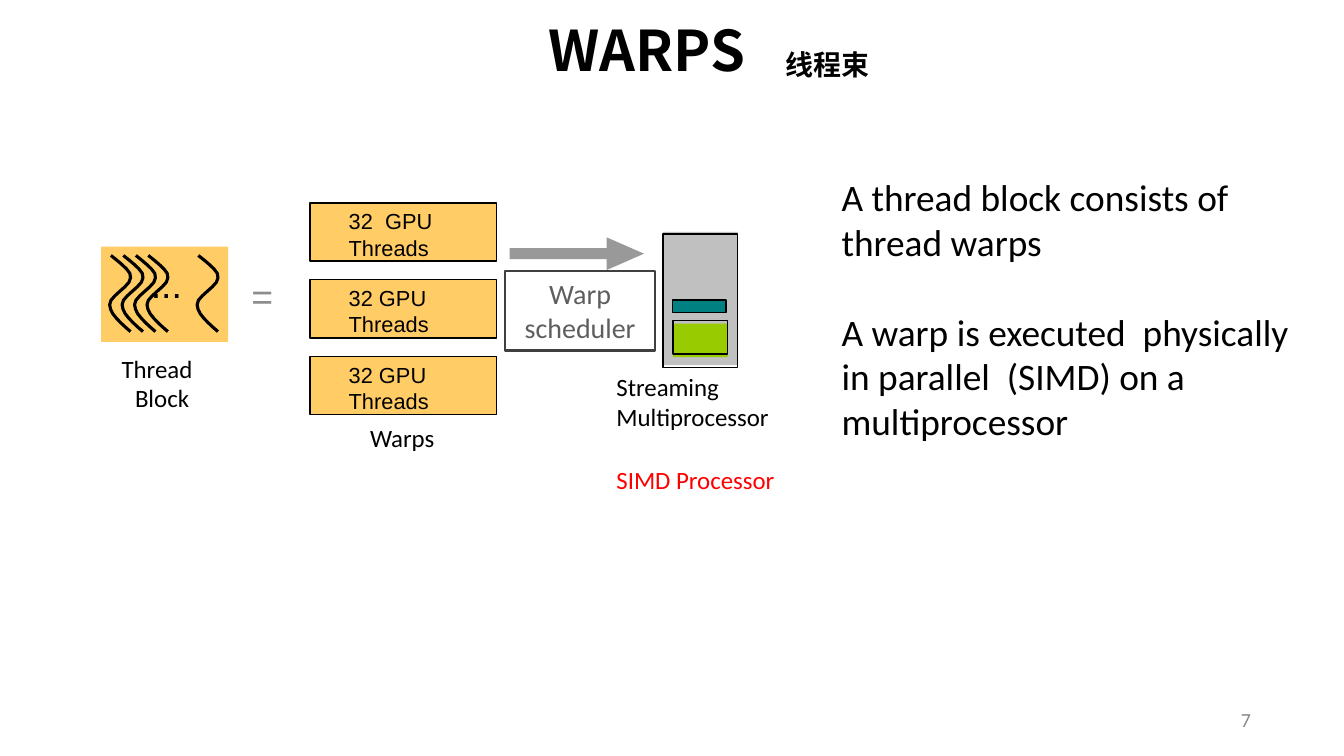
import dataclasses

import lxml.etree
import pptx
import pptx.dml.color
import pptx.enum.shapes
import pptx.enum.text
import pptx.oxml.ns
import pptx.util

Pt = pptx.util.Pt
SHAPE = pptx.enum.shapes.MSO_SHAPE
ALIGN = pptx.enum.text.PP_ALIGN
ANCHOR = pptx.enum.text.MSO_ANCHOR


@dataclasses.dataclass(frozen=True)
class Theme:
    black: str = "000000"
    red: str = "FF0000"
    amber: str = "FFCC66"
    silver: str = "C0C0C0"
    teal: str = "008080"
    lime: str = "99CC00"
    arrow: str = "999999"
    equals: str = "8C8C8C"
    number: str = "898989"
    scheduler_line: str = "404040"
    scheduler_text: str = "5E5E5E"
    sans: str = "Calibri"
    plain: str = "Arial"
    heading: str = "Noto Sans CJK SC"
    title_size: float = 36
    body_size: float = 24
    note_size: float = 18
    label_size: float = 16
    warp_size: float = 14
    number_size: float = 12.8


THEME = Theme()

# One thread: sideways offsets at equal steps down
WAVE = [0.8, 4.4, 7.8, 10.8, 13, 13.4, 12.4, 9.8, 6.6,
        3.4, 0.9, 0, 0.6, 2, 4.3, 7, 10.1, 13.4]
WAVE_STEP = 2.88


def set_values(target, values):
    for name, value in values.items():
        setattr(target, name, value)


def color(code):
    return pptx.dml.color.RGBColor.from_string(code)


def paint(shape, fill=None, line=None, weight=1):
    shape.shadow.inherit = False
    if fill:
        shape.fill.solid()
        shape.fill.fore_color.rgb = color(fill)
    else:
        shape.fill.background()
    if line:
        shape.line.color.rgb = color(line)
        shape.line.width = Pt(weight)
    else:
        shape.line.fill.background()


def write(box, lines, size, font=THEME.sans, ink=THEME.black, bold=False,
          align=ALIGN.LEFT, anchor=ANCHOR.TOP, margins=(1, 1, 0, 0), wrap=True):
    """Fill a box with paragraphs that share one format; return them."""
    frame = box.text_frame
    left, top, right, bottom = map(Pt, margins)
    set_values(frame, {
        "word_wrap": wrap, "vertical_anchor": anchor,
        "auto_size": pptx.enum.text.MSO_AUTO_SIZE.NONE,
        "margin_left": left, "margin_top": top,
        "margin_right": right, "margin_bottom": bottom})
    for index, text in enumerate(lines):
        para = frame.paragraphs[0] if index == 0 else frame.add_paragraph()
        para.alignment = align
        span = para.add_run()
        span.text = text
        set_values(span.font, {"name": font, "size": Pt(size), "bold": bold})
        span.font.color.rgb = color(ink)
    return frame.paragraphs


def add_text(page, place, lines, size, **options):
    box = page.shapes.add_textbox(*map(Pt, place))
    return write(box, lines, size, **options)


def add_block(page, place, kind=SHAPE.RECTANGLE, **look):
    shape = page.shapes.add_shape(kind, *map(Pt, place))
    paint(shape, **look)
    return shape


def add_offset_panel(page, place, fill, shift):
    """A filled block whose outline sits slightly off the fill."""
    left, top, width, height = place
    add_block(page, place, fill=fill)
    add_block(page, (left + shift[0], top + shift[1], width, height),
              line=THEME.black)


def add_thread(page, left, top):
    points = [(Pt(left + offset), Pt(top + row * WAVE_STEP))
              for row, offset in enumerate(WAVE)]
    builder = page.shapes.build_freeform(*points[0])
    builder.add_line_segments(points[1:], close=False)
    paint(builder.convert_to_shape(), line=THEME.black, weight=2)


def add_title(page):
    title = page.shapes.title
    set_values(title, {"left": Pt(324), "top": Pt(4),
                       "width": Pt(183), "height": Pt(54)})
    write(title, ["WARPS"], THEME.title_size, font=THEME.heading, bold=True,
          align=ALIGN.CENTER, anchor=ANCHOR.MIDDLE)
    translation = add_text(page, (498, 27, 68, 29), ["线程束"],
                           THEME.note_size, bold=True,
                           margins=(7.2, 3.6, 7.2, 3.6), wrap=False)
    properties = translation[0].runs[0]._r.get_or_add_rPr()
    lxml.etree.SubElement(properties, pptx.oxml.ns.qn("a:ea"),
                          typeface=THEME.heading)


def add_thread_block(page):
    add_block(page, (65, 158.6, 81.6, 61.2), fill=THEME.amber)
    for left in [70.5 + 8 * index for index in range(4)] + [126.7]:
        add_thread(page, left, 164.2)
    add_text(page, (65, 157.7, 83, 62), ["..."], THEME.body_size,
             font=THEME.plain, align=ALIGN.CENTER, margins=(1, 10, 0, 0))
    label = add_text(page, (77.4, 225.4, 53, 40), ["Thread Block"],
                     THEME.label_size, margins=(0, 2, 0, 0))[0]
    label.line_spacing = Pt(19)
    properties = label._p.get_or_add_pPr()
    properties.set("marL", str(Pt(9.4)))
    properties.set("indent", str(Pt(-8.6)))
    add_text(page, (160.6, 174.6, 16, 31), ["="], THEME.body_size,
             font=THEME.plain, ink=THEME.equals)


def add_warps(page):
    for row, text in enumerate(["32  GPU Threads"] + ["32 GPU Threads"] * 2):
        warp = add_block(page, (199.2, 130.4 + 49.4 * row, 120.2, 37.4),
                         fill=THEME.amber, line=THEME.black)
        write(warp, [text], THEME.warp_size, font=THEME.plain,
              margins=(25, 3.4, 22, 0))
    add_text(page, (236.9, 270.7, 46, 21), ["Warps"], THEME.label_size)


def add_multiprocessor(page):
    add_offset_panel(page, (426.2, 149, 48, 85.7), THEME.silver, (0, 1.5))
    add_offset_panel(page, (432.7, 193, 34.6, 7.9), THEME.teal, (-0.5, 0))
    add_offset_panel(page, (432.7, 208, 35, 21.6), THEME.lime, (0, -2))
    labels = add_text(page, (395.3, 238, 106, 81),
                      ["Streaming Multiprocessor", "SIMD Processor"],
                      THEME.label_size)
    labels[1].space_before = Pt(21.5)
    labels[1].runs[0].font.color.rgb = color(THEME.red)


def add_scheduler(page):
    arrow = add_block(page, (327.6, 152.6, 86.4, 21), SHAPE.RIGHT_ARROW,
                      fill=THEME.arrow)
    arrow.adjustments[0] = 0.34
    arrow.adjustments[1] = 1.14
    scheduler = add_block(page, (324.7, 174.2, 96.5, 51.1),
                          line=THEME.scheduler_line, weight=1.5)
    write(scheduler, ["Warp scheduler"], THEME.note_size,
          ink=THEME.scheduler_text, align=ALIGN.CENTER,
          margins=(7.2, 3.6, 7.2, 3.6))


def main():
    deck = pptx.Presentation()
    set_values(deck, {"slide_width": Pt(864), "slide_height": Pt(486)})
    page = deck.slides.add_slide(deck.slide_layouts[5])

    # Heading
    add_title(page)

    # Diagram, from thread block to processor
    add_thread_block(page)
    add_warps(page)
    add_multiprocessor(page)
    add_scheduler(page)

    # Explanation
    add_text(page, (540, 111, 278, 60),
             ["A thread block consists of thread warps"], THEME.body_size)
    add_text(page, (540, 197.5, 292, 88),
             ["A warp is executed  physically in parallel  (SIMD) on a "
              "multiprocessor"], THEME.body_size)

    # Page number
    add_text(page, (609.8, 449.4, 194.4, 26), ["7"], THEME.number_size,
             ink=THEME.number, align=ALIGN.RIGHT, anchor=ANCHOR.MIDDLE,
             margins=(0, 0, 0, 0))
    deck.save("out.pptx")


if __name__ == "__main__":
    main()
